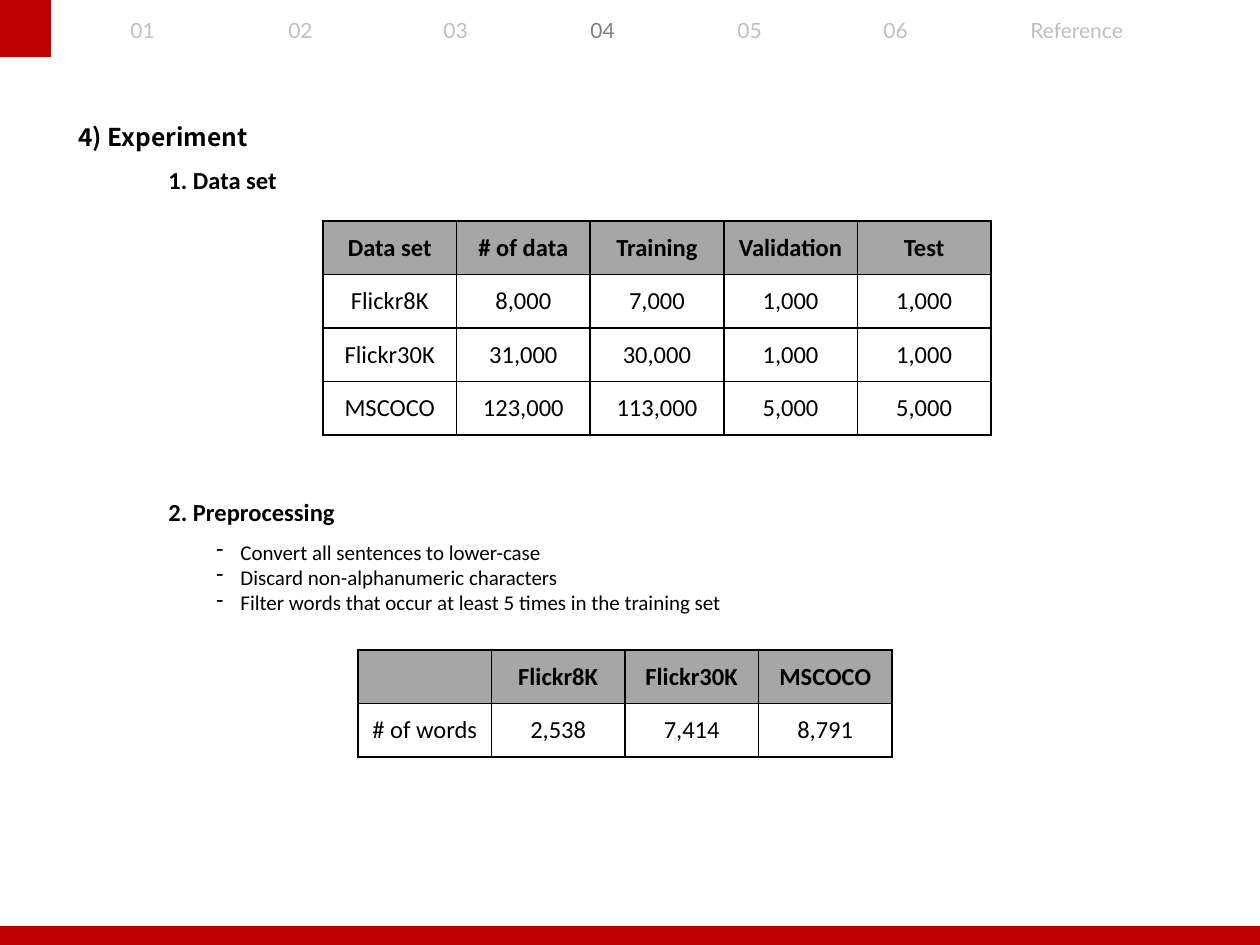
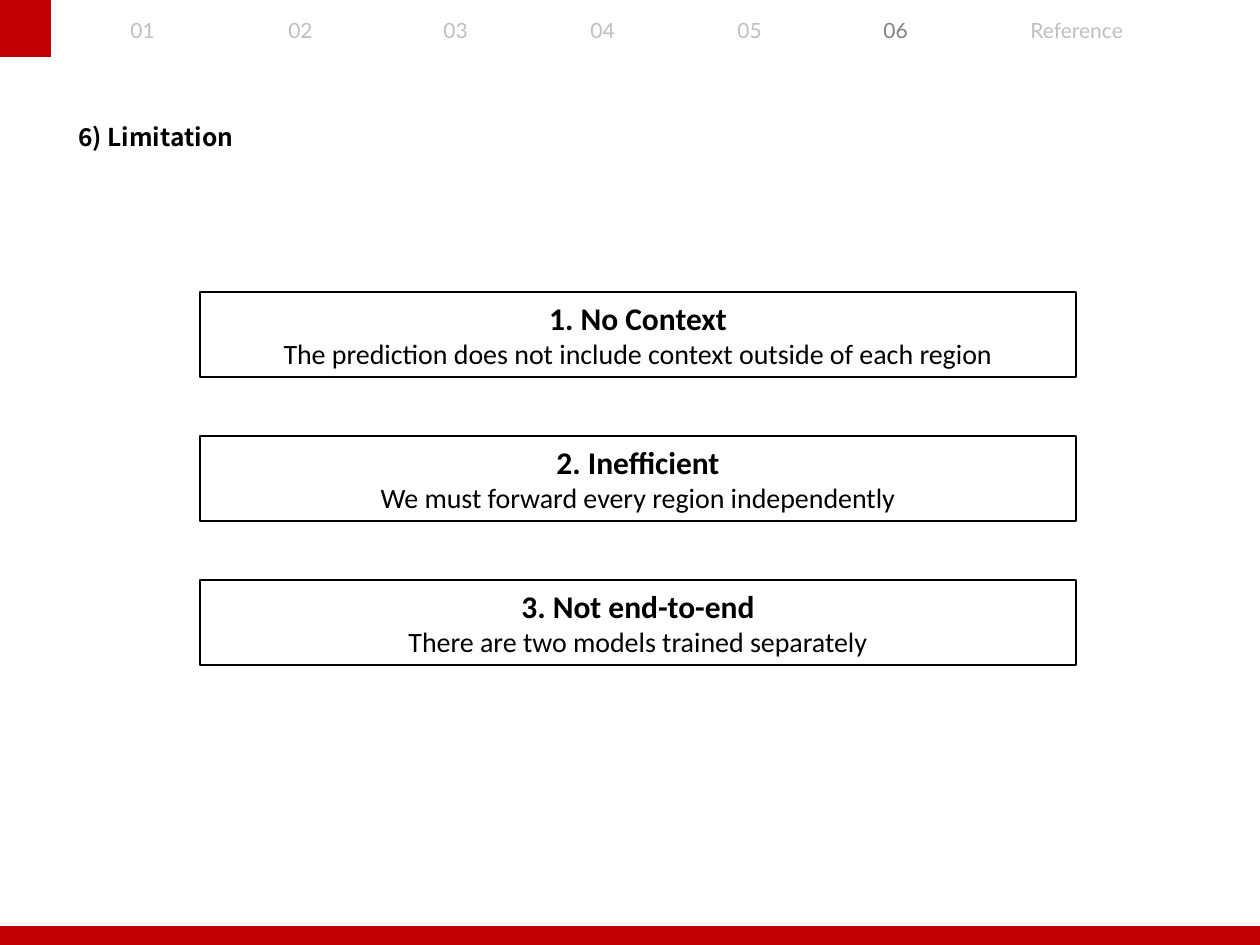
from lxml.etree import SubElement
from pptx import Presentation
from pptx.dml.color import RGBColor
from pptx.enum.shapes import MSO_SHAPE
from pptx.enum.text import MSO_ANCHOR, MSO_AUTO_SIZE, PP_ALIGN
from pptx.oxml.ns import qn
from pptx.util import Pt

# Content
NAVIGATION = [  # label, left, width, alignment
    ("01", 118, 54, PP_ALIGN.LEFT),
    ("02", 262, 77, PP_ALIGN.CENTER),
    ("03", 431, 55, PP_ALIGN.LEFT),
    ("04", 578, 55, PP_ALIGN.LEFT),
    ("05", 725, 55, PP_ALIGN.LEFT),
    ("06", 871, 55, PP_ALIGN.LEFT),
    ("Reference", 1018, 156, PP_ALIGN.LEFT),
]
DATA_SETS = [
    ["Data set", "# of data", "Training", "Validation", "Test"],
    ["Flickr8K", "8,000", "7,000", "1,000", "1,000"],
    ["Flickr30K", "31,000", "30,000", "1,000", "1,000"],
    ["MSCOCO", "123,000", "113,000", "5,000", "5,000"],
]
WORD_COUNTS = [
    ["", "Flickr8K", "Flickr30K", "MSCOCO"],
    ["# of words", "2,538", "7,414", "8,791"],
]
PREPROCESSING_STEPS = [
    "Convert all sentences to lower-case",
    "Discard non-alphanumeric characters",
    "Filter words that occur at least 5 times in the training set",
]
LIMITATIONS = [
    ("1. No Context", "The prediction does not include context outside of each region"),
    ("2. Inefficient", "We must forward every region independently"),
    ("3. Not end-to-end", "There are two models trained separately"),
]

# Shared style
WIDTH, HEIGHT = 1260, 945
RED, BLACK, WHITE = "C00000", "000000", "FFFFFF"
HEADER_GRAY, ACTIVE_GRAY, IDLE_GRAY = "A6A6A6", "808080", "BFBFBF"
BODY_FONT, TITLE_FONT, NAVIGATION_FONT = "Calibri", "Noto Sans CJK KR", "Lato"
BULLET_INDENT = 24


def px(length):
    return round(length * 914400 / 126)


def color(value):
    return RGBColor.from_string(value)


def write(frame, text, size=14, font=BODY_FONT, ink=BLACK, bold=False,
          align=PP_ALIGN.LEFT, bullet=None, first=True):
    """Write one paragraph, into the existing one when it is the first."""
    paragraph = frame.paragraphs[0] if first else frame.add_paragraph()
    paragraph.alignment = align
    if bullet:
        properties = paragraph._p.get_or_add_pPr()
        properties.set("marL", str(px(BULLET_INDENT)))
        properties.set("indent", str(-px(BULLET_INDENT)))
        SubElement(properties, qn("a:buChar")).set("char", bullet)
    run = paragraph.add_run()
    run.text = text
    run.font.name = font
    run.font.size = Pt(size)
    run.font.bold = bold
    run.font.color.rgb = color(ink)


def add_text_box(slide, left, top, width, height, lines, **style):
    box = slide.shapes.add_textbox(px(left), px(top), px(width), px(height))
    frame = box.text_frame
    frame.word_wrap = True
    frame.auto_size = MSO_AUTO_SIZE.SHAPE_TO_FIT_TEXT
    for index, line in enumerate(lines):
        write(frame, line, first=index == 0, **style)


def add_rectangle(slide, left, top, width, height, fill=None, line=None):
    shape = slide.shapes.add_shape(
        MSO_SHAPE.RECTANGLE, px(left), px(top), px(width), px(height))
    shape.shadow.inherit = False
    if fill:
        shape.fill.solid()
        shape.fill.fore_color.rgb = color(fill)
    else:
        shape.fill.background()
    if line:
        shape.line.color.rgb = color(line)
        shape.line.width = Pt(0.75)
    else:
        shape.line.fill.background()
    return shape


def add_borders(cell):
    """Draw 1 pt borders; they must precede the cell's fill."""
    properties = cell._tc.get_or_add_tcPr()
    for side in ("a:lnL", "a:lnR", "a:lnT", "a:lnB"):
        border = SubElement(properties, qn(side))
        border.set("w", str(Pt(1)))
        fill = SubElement(border, qn("a:solidFill"))
        SubElement(fill, qn("a:srgbClr")).set("val", BLACK)


def add_grid(slide, left, top, width, height, rows):
    table = slide.shapes.add_table(
        len(rows), len(rows[0]), px(left), px(top), px(width), px(height)).table
    table.horz_banding = False
    for row_index, texts in enumerate(rows):
        is_header = row_index == 0
        table.rows[row_index].height = px(height / len(rows))
        for column_index, text in enumerate(texts):
            table.columns[column_index].width = px(width / len(texts))
            cell = table.cell(row_index, column_index)
            add_borders(cell)
            cell.fill.solid()
            cell.fill.fore_color.rgb = color(HEADER_GRAY if is_header else WHITE)
            cell.vertical_anchor = MSO_ANCHOR.MIDDLE
            if text:
                write(cell.text_frame, text, bold=is_header, align=PP_ALIGN.CENTER)


def add_section_slide(presentation, title, active):
    """Add a slide with the red bands, the title and the navigation row."""
    slide = presentation.slides.add_slide(presentation.slide_layouts[6])
    add_rectangle(slide, 0, 926, WIDTH, 19, fill=RED)
    add_rectangle(slide, 0, 0, 51, 57, fill=RED)
    add_text_box(slide, 66, 116, 368, 43, [title], font=TITLE_FONT, bold=True)
    for label, left, width, align in NAVIGATION:
        add_text_box(slide, left, 11, width, 38, [label], size=12,
                     font=NAVIGATION_FONT, align=align,
                     ink=ACTIVE_GRAY if label == active else IDLE_GRAY)
    return slide


def build_experiment(presentation):
    slide = add_section_slide(presentation, "4) Experiment", "04")
    for heading, top in (("1. Data set", 159), ("2. Preprocessing", 491)):
        add_text_box(slide, 156, top, 762, 43, [heading], bold=True)
    add_grid(slide, 323, 221, 668, 214, DATA_SETS)
    add_text_box(slide, 204, 533, 800, 89, PREPROCESSING_STEPS, size=12, bullet="-")
    add_grid(slide, 358, 650, 534, 107, WORD_COUNTS)


def build_limitation(presentation):
    slide = add_section_slide(presentation, "6) Limitation", "06")
    first_top, pitch = 292, 144
    for index, (heading, detail) in enumerate(LIMITATIONS):
        box = add_rectangle(slide, 200, first_top + index * pitch, 876, 85, line=BLACK)
        frame = box.text_frame
        frame.word_wrap = True
        frame.vertical_anchor = MSO_ANCHOR.MIDDLE
        write(frame, heading, size=18, bold=True, align=PP_ALIGN.CENTER)
        write(frame, detail, size=16, align=PP_ALIGN.CENTER, first=False)


def main():
    presentation = Presentation()
    presentation.slide_width = px(WIDTH)
    presentation.slide_height = px(HEIGHT)
    build_experiment(presentation)
    build_limitation(presentation)
    presentation.save("out.pptx")


if __name__ == "__main__":
    main()
